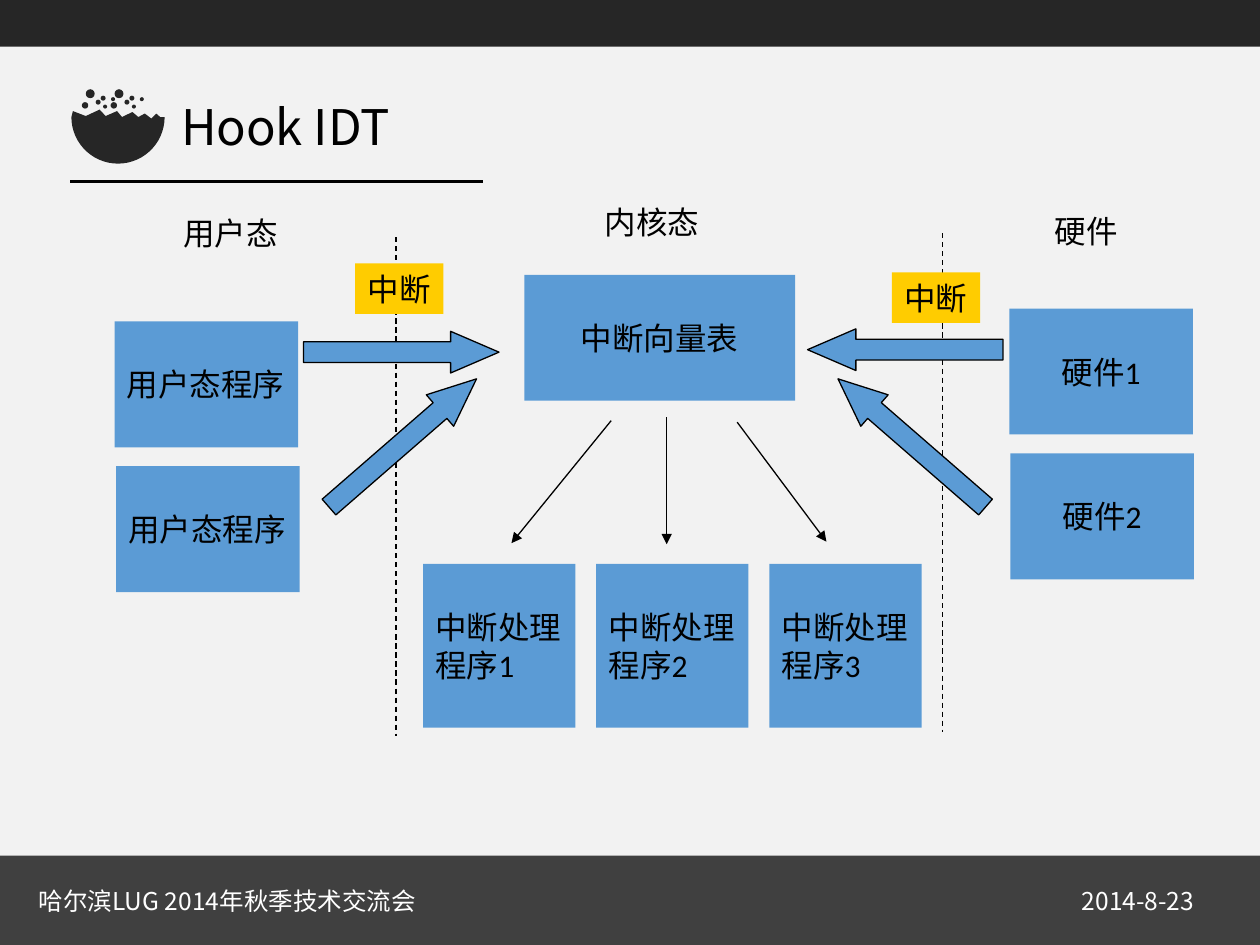
"""Build the Hook IDT slide: interrupts flowing through the vector table."""
from math import cos, pi, sin

from lxml import etree
from pptx import Presentation
from pptx.dml.color import RGBColor
from pptx.enum.dml import MSO_LINE
from pptx.enum.shapes import MSO_CONNECTOR, MSO_SHAPE
from pptx.enum.text import MSO_ANCHOR, PP_ALIGN
from pptx.oxml.ns import qn
from pptx.util import Cm, Pt

RECT, OVAL = MSO_SHAPE.RECTANGLE, MSO_SHAPE.OVAL
RIGHT, LEFT_ARROW = MSO_SHAPE.RIGHT_ARROW, MSO_SHAPE.LEFT_ARROW
STRAIGHT, DASH = MSO_CONNECTOR.STRAIGHT, MSO_LINE.DASH
LEFT, CENTER = PP_ALIGN.LEFT, PP_ALIGN.CENTER
TOP, MIDDLE = MSO_ANCHOR.TOP, MSO_ANCHOR.MIDDLE
CJK, LATIN = "Noto Sans CJK SC", "Calibri"
BLUE, YELLOW, DARK, GREY = "5B9BD5", "FFCC00", "262626", "404040"
BLACK, WHITE = "000000", "FFFFFF"


def rgb(value):
    return RGBColor.from_string(value)


def write(sp, text, size=18, font=LATIN, color=BLACK, align=LEFT, anchor=TOP, wrap=True):
    tf = sp.text_frame
    tf.word_wrap = wrap
    tf.vertical_anchor = anchor
    p = tf.paragraphs[0]
    p.alignment = align
    r = p.add_run()
    r.text = text
    r.font.size = Pt(size)
    r.font.name = font
    r.font.color.rgb = rgb(color)
    etree.SubElement(r.font._element, qn("a:ea"), typeface=CJK)


prs = Presentation()
prs.slide_width, prs.slide_height = Cm(25.4), Cm(19.05)
s = prs.slides.add_slide(prs.slide_layouts[6])
s.background.fill.solid()
s.background.fill.fore_color.rgb = rgb("F2F2F2")

bubbles = [(1.73, 1.8, 0.18), (2.03, 1.93, 0.1), (1.93, 2.01, 0.1),
           (2.08, 2.11, 0.08), (2.24, 1.96, 0.08), (1.65, 2.06, 0.13)]
plain = [(RECT, 0, 17.25, 25.4, 1.8, GREY), (RECT, 0, 0, 25.4, 0.94, DARK)]
plain += [(OVAL, x + dx, y, d, d, DARK) for dx in (0, 0.58) for x, y, d in bubbles]
for kind, x, y, w, h, color in plain:
    sp = s.shapes.add_shape(kind, Cm(x), Cm(y), Cm(w), Cm(h))
    sp.shadow.inherit = False
    sp.fill.solid()
    sp.fill.fore_color.rgb = rgb(color)
    sp.line.fill.background()

waves = [(1.47, 2.24), (1.73, 2.34), (2.01, 2.21), (2.13, 2.34), (2.36, 2.24),
         (2.46, 2.36), (2.67, 2.26), (2.79, 2.36), (2.92, 2.29), (3.05, 2.39),
         (3.15, 2.29), (3.23, 2.36)]
bowl = [(2.38 + 0.94 * cos(pi * i / 30), 2.36 + 0.94 * sin(pi * i / 30)) for i in range(31)]
outline = [(Cm(x), Cm(y)) for x, y in waves + bowl]
fb = s.shapes.build_freeform(*outline[0], scale=1.0)
fb.add_line_segments(outline[1:], close=True)
sp = fb.convert_to_shape()
sp.shadow.inherit = False
sp.fill.solid()
sp.fill.fore_color.rgb = rgb(DARK)
sp.line.fill.background()

for text, x, y, w, h, size, font, color, wrap in [
    ("哈尔滨LUG 2014年秋季技术交流会", 0.53, 17.73, 9.17, 0.86, 14, CJK, WHITE, True),
    ("2014-8-23", 21.56, 17.73, 3.23, 0.86, 14, CJK, WHITE, True),
    ("Hook IDT", 3.4, 1.83, 9.32, 1.45, 28, CJK, BLACK, True),
    ("用户态", 3.45, 4.19, 2.54, 1.02, 18, LATIN, BLACK, False),
    ("内核态", 11.94, 3.96, 2.41, 1.02, 18, LATIN, BLACK, False),
    ("硬件", 21.01, 4.14, 1.78, 1.02, 18, LATIN, BLACK, False),
]:
    sp = s.shapes.add_textbox(Cm(x), Cm(y), Cm(w), Cm(h))
    write(sp, text, size, font, color, wrap=wrap)

for x1, y1, x2, y2, width, dash, arrow in [
    (1.42, 3.66, 9.73, 3.66, 1.5, None, False),
    (7.98, 4.78, 7.98, 14.83, 0.75, DASH, False),
    (19, 4.7, 19, 14.76, 0.75, DASH, False),
    (12.32, 8.48, 10.31, 10.95, 0.75, None, True),
    (13.44, 8.41, 13.44, 10.97, 0.75, None, True),
    (14.86, 8.51, 16.66, 10.92, 0.75, None, True),
]:
    c = s.shapes.add_connector(STRAIGHT, Cm(x1), Cm(y1), Cm(x2), Cm(y2))
    c.line.color.rgb = rgb(BLACK)
    c.line.width = Pt(width)
    if dash:
        c.line.dash_style = dash
    if arrow:
        etree.SubElement(c.line._get_or_add_ln(), qn("a:tailEnd"), type="triangle")
    etree.SubElement(c._element.spPr, qn("a:effectLst"))

boxes = [
    ("用户态程序", 2.31, 6.48, 3.7, 2.54, BLUE, LEFT, True),
    ("用户态程序", 2.34, 9.4, 3.7, 2.54, BLUE, LEFT, True),
    ("中断向量表", 10.57, 5.54, 5.46, 2.54, BLUE, CENTER, True),
    ("硬件1", 20.35, 6.22, 3.7, 2.54, BLUE, CENTER, True),
    ("硬件2", 20.37, 9.14, 3.7, 2.54, BLUE, CENTER, True),
    ("中断", 7.16, 5.31, 1.78, 1.02, YELLOW, LEFT, False),
    ("中断", 17.98, 5.49, 1.78, 1.02, YELLOW, LEFT, False),
]
boxes += [(f"中断处理程序{i + 1}", 8.53 + 3.49 * i, 11.37, 3.07, 3.3, BLUE, LEFT, True)
          for i in range(3)]
for text, x, y, w, h, color, align, wrap in boxes:
    sp = s.shapes.add_shape(RECT, Cm(x), Cm(y), Cm(w), Cm(h))
    sp.shadow.inherit = False
    sp.fill.solid()
    sp.fill.fore_color.rgb = rgb(color)
    sp.line.fill.background()
    write(sp, text, align=align, anchor=MIDDLE, wrap=wrap)

for kind, x, y, angle in [(RIGHT, 6.12, 6.68, 0), (RIGHT, 6.15, 8.51, 319),
                          (LEFT_ARROW, 16.28, 6.63, 0), (LEFT_ARROW, 16.41, 8.51, 41)]:
    sp = s.shapes.add_shape(kind, Cm(x), Cm(y), Cm(3.94), Cm(0.84))
    sp.shadow.inherit = False
    sp.adjustments[0], sp.adjustments[1] = 0.5, 1.16
    sp.rotation = angle
    sp.fill.solid()
    sp.fill.fore_color.rgb = rgb(BLUE)
    sp.line.color.rgb = rgb(BLACK)
    sp.line.width = Pt(0.75)

prs.save("out.pptx")
